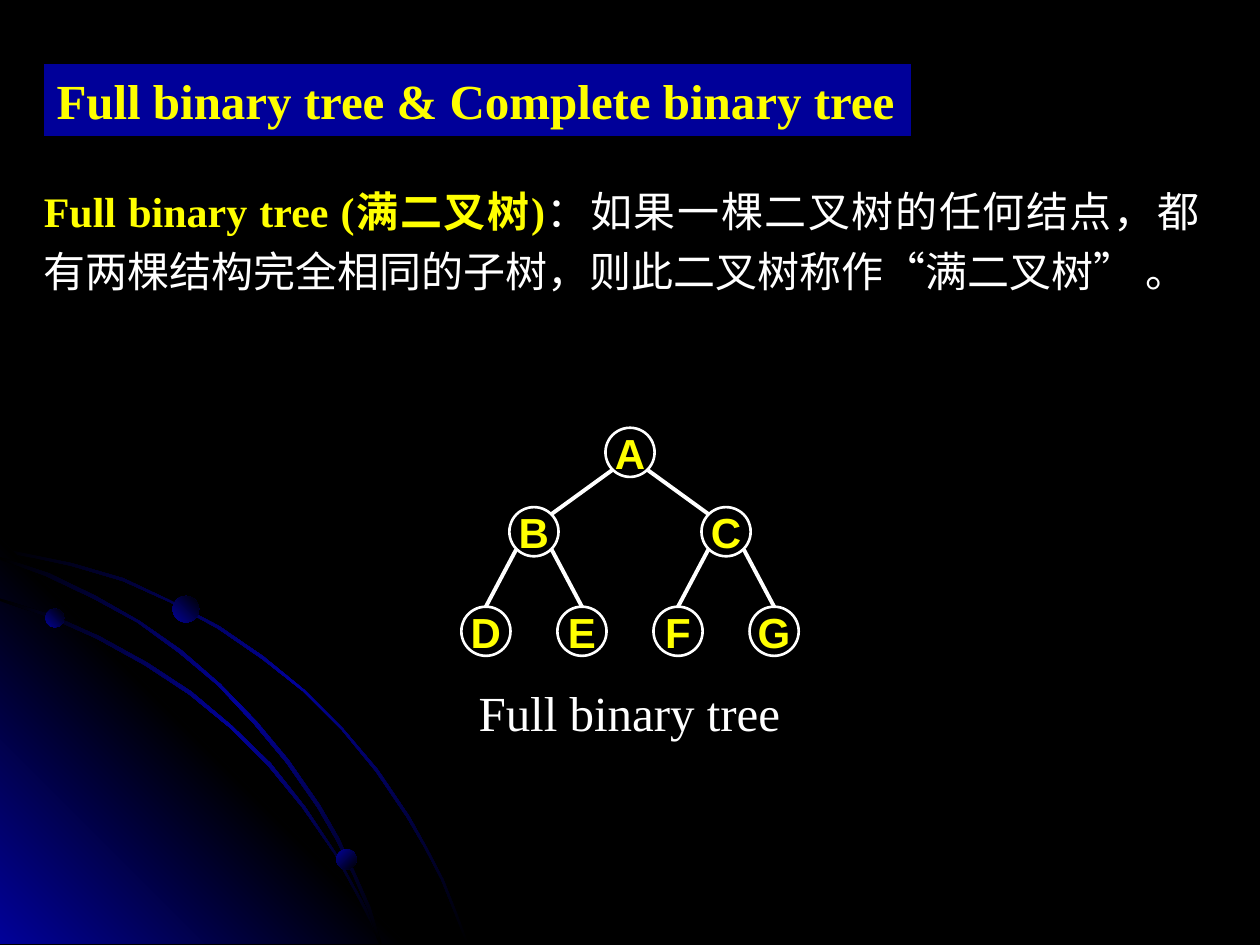
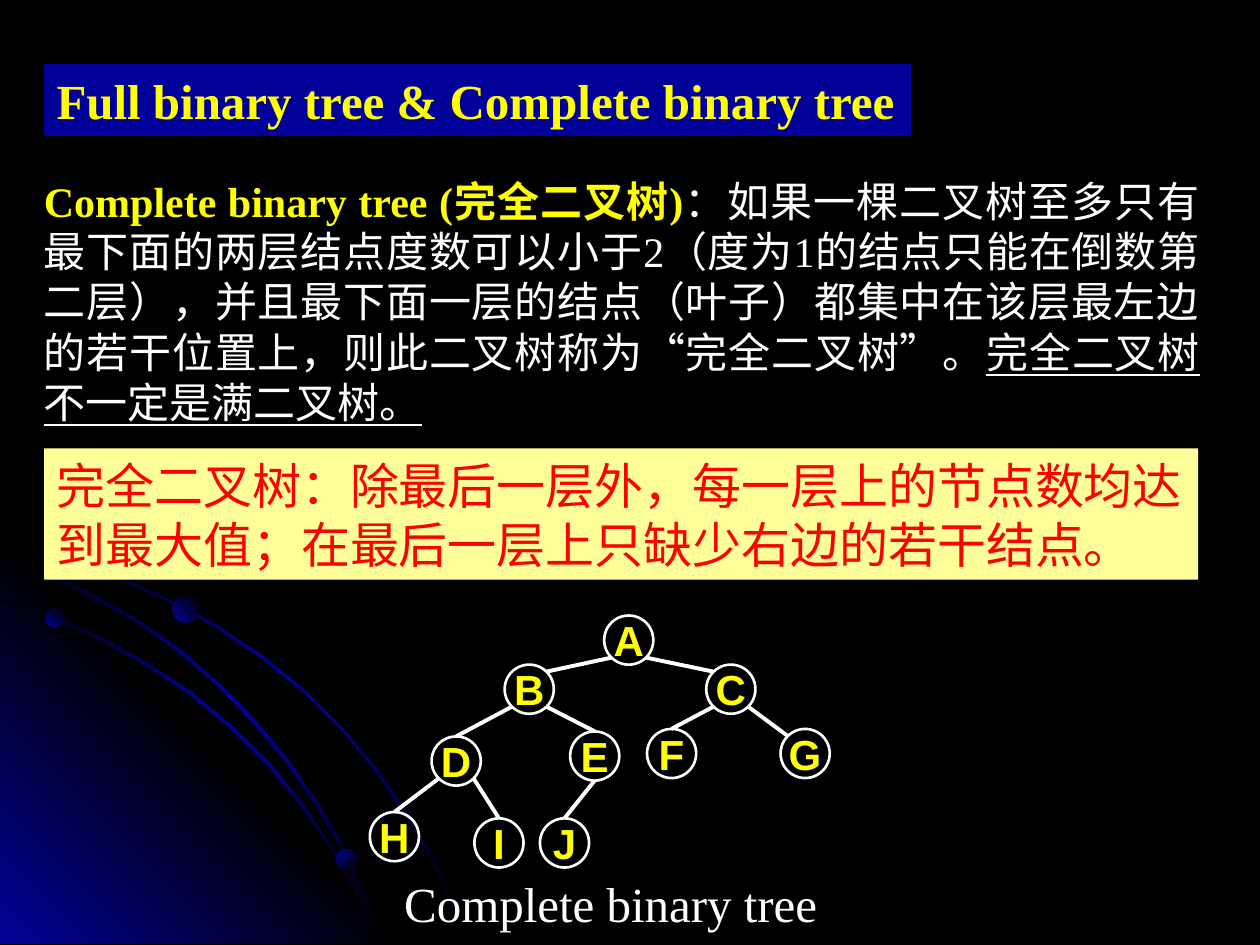
from dataclasses import dataclass

from pptx import Presentation
from pptx import util as u
from pptx.dml.color import RGBColor
from pptx.enum import shapes, text
from pptx.oxml import ns, parse_xml

Inches = u.Inches


@dataclass(frozen=True)
class Theme:
    black: str = "000000"
    glow: str = "010199"
    band: str = "000099"
    yellow: str = "FFFF00"
    white: str = "FFFFFF"
    cream: str = "FFFF99"
    red: str = "FF0000"
    serif: str = "Times New Roman"
    sans: str = "Arial"
    cjk: str = "Noto Sans CJK SC"
    large: int = 28
    body: int = 24
    ring: float = 1.5
    edge: float = 2.25


THEME = Theme()
NODE = 0.39   # diameter of a tree node
DIAG = 0.14   # offset of a node's diagonal joints
JOINTS = {"t": (0, -NODE / 2), "b": (0, NODE / 2),
          "tl": (-DIAG, -DIAG), "tr": (DIAG, -DIAG),
          "bl": (-DIAG, DIAG), "br": (DIAG, DIAG)}

# Background outlines, in inches
ARCS_BACK = [
    [(0.57, 4.47), (0.28, 4.41), (0, 4.35), (0, 4.38), (0.28, 4.43), (0.56, 4.49),
     (0.97, 4.61), (1.35, 4.78), (1.73, 4.99), (2.08, 5.23), (2.41, 5.49),
     (2.71, 5.79), (2.98, 6.12), (3.23, 6.49), (3.37, 6.73), (3.5, 6.98),
     (3.6, 7.23), (3.7, 7.49), (3.72, 7.49), (3.62, 7.23), (3.52, 6.98),
     (3.39, 6.73), (3.25, 6.48), (3, 6.11), (2.72, 5.78), (2.42, 5.48),
     (2.09, 5.21), (1.74, 4.97), (1.36, 4.77), (0.98, 4.59)],
]
CORNER = [(3.22, 7.49), (0, 7.49), (0, 4.27)]
ARCS_FRONT = [
    [(2.85, 7.14), (2.94, 7.32), (3.01, 7.49), (3.03, 7.49), (2.96, 7.3),
     (2.86, 7.12), (2.66, 6.76), (2.42, 6.4), (2.15, 6.06), (1.84, 5.76),
     (1.52, 5.49), (1.17, 5.26), (0.79, 5.05), (0.41, 4.88), (0, 4.75),
     (0, 4.77), (0.39, 4.9), (0.77, 5.07), (1.15, 5.28), (1.5, 5.51),
     (1.83, 5.78), (2.13, 6.08), (2.4, 6.41), (2.65, 6.77)],
    [(0, 4.42), (0, 4.44), (0.36, 4.57), (0.74, 4.75), (1.09, 4.94),
     (1.42, 5.18), (1.73, 5.44), (2.02, 5.75), (2.27, 6.05), (2.52, 6.41),
     (2.67, 6.67), (2.8, 6.94), (2.92, 7.22), (3.01, 7.49), (3.03, 7.49),
     (2.94, 7.2), (2.82, 6.93), (2.69, 6.65), (2.54, 6.39), (2.29, 6.03),
     (2.04, 5.73), (1.75, 5.43), (1.44, 5.16), (1.11, 4.93), (0.76, 4.73),
     (0.39, 4.55)],
]
BEADS = [(0.36, 4.83, 0.15, 315), (2.67, 6.74, 0.16, 45), (1.37, 4.73, 0.21, 315)]


def rgb(color):
    return RGBColor.from_string(color)


class Deck:
    """Holds the style and the current slide."""

    def __init__(self, theme):
        self.t = theme
        self.prs = Presentation()
        self.prs.slide_width, self.prs.slide_height = Inches(10), Inches(7.5)
        self.s = None

    def new_slide(self):
        self.s = self.prs.slides.add_slide(self.prs.slide_layouts[6])
        fill = self.s.background.fill
        fill.solid()
        fill.fore_color.rgb = rgb(self.t.black)
        self.backdrop()

    # Background
    def gradient(self, sp, colors, angle):
        sp.shadow.inherit = False
        sp.line.fill.background()
        sp.fill.solid()
        last = len(colors) - 1
        stops = "".join(f'<a:gs pos="{100000 * i // last}"><a:srgbClr val="{c}"/></a:gs>'
                        for i, c in enumerate(colors))
        grad = parse_xml(f'<a:gradFill {ns.nsdecls("a")} rotWithShape="1"><a:gsLst>{stops}'
                         f'</a:gsLst><a:lin ang="{angle * 60000}" scaled="1"/></a:gradFill>')
        spPr = sp._element.spPr
        spPr.replace(spPr.find(ns.qn("a:solidFill")), grad)

    def outline(self, points, colors, angle):
        start, *rest = [(Inches(x), Inches(y)) for x, y in points]
        builder = self.s.shapes.build_freeform(*start)
        builder.add_line_segments(rest, close=True)
        self.gradient(builder.convert_to_shape(), colors, angle)

    def backdrop(self):
        black, glow = self.t.black, self.t.glow
        arc = (black, glow, black), 45
        for points in ARCS_BACK:
            self.outline(points, *arc)
        self.outline(CORNER, (glow, black, glow), 315)
        for points in ARCS_FRONT:
            self.outline(points, *arc)
        for x, y, size, angle in BEADS:
            self.gradient(self.shape("OVAL", x, y, size, size), (glow, black), angle)

    # Basic elements
    def shape(self, kind, x, y, w, h, fill=None, line=None):
        sp = self.s.shapes.add_shape(getattr(shapes.MSO_SHAPE, kind),
                                     Inches(x), Inches(y), Inches(w), Inches(h))
        sp.shadow.inherit = False
        if fill:
            sp.fill.solid()
            sp.fill.fore_color.rgb = rgb(fill)
        else:
            sp.fill.background()
        if line:
            sp.line.color.rgb = rgb(line)
            sp.line.width = u.Pt(self.t.ring)
        else:
            sp.line.fill.background()
        return sp

    def box(self, x, y, w, h):
        return self.s.shapes.add_textbox(Inches(x), Inches(y), Inches(w), Inches(h))

    def put_text(self, sp, runs, align="LEFT", anchor="TOP", wrap=False, grow=True):
        """Fill a shape with one paragraph; runs are (words, color, font format)."""
        tf = sp.text_frame
        tf.word_wrap = wrap
        tf.vertical_anchor = getattr(text.MSO_ANCHOR, anchor)
        fit = text.MSO_AUTO_SIZE
        tf.auto_size = fit.SHAPE_TO_FIT_TEXT if grow else fit.NONE
        p = tf.paragraphs[0]
        p.alignment = getattr(text.PP_ALIGN, align)
        for words, color, fmt in runs:
            r = p.add_run()
            r.text = words
            r.font.color.rgb = rgb(color)
            for key, value in fmt.items():
                setattr(r.font, key, value)
            r._r.get_or_add_rPr().append(
                parse_xml(f'<a:ea {ns.nsdecls("a")} typeface="{self.t.cjk}"/>'))
        return p

    def font(self, name, size, **extra):
        return {"name": name, "size": u.Pt(size), **extra}

    # Slide parts
    def title(self, words):
        sp = self.shape("RECTANGLE", 0.35, 0.51, 6.88, 0.57, fill=self.t.band)
        self.put_text(sp, [(words, self.t.yellow,
                            self.font(self.t.serif, self.t.large, bold=True))])

    def definition(self, term, meaning, height, underlined="", spacing=None):
        t = self.t
        runs = [(term, t.yellow, self.font(t.serif, t.body, bold=True)),
                (meaning, t.white, self.font(t.serif, t.body))]
        if underlined:
            runs.append((underlined, t.white, self.font(t.serif, t.body, underline=True)))
        p = self.put_text(self.box(0.25, 1.34, 9.37, height), runs, "JUSTIFY", wrap=True)
        p._p.get_or_add_pPr().append(parse_xml(
            f'<a:spcBef {ns.nsdecls("a")}><a:spcPct val="50000"/></a:spcBef>'))
        if spacing:
            p.line_spacing = spacing

    def callout(self, words):
        sp = self.shape("RECTANGLE", 0.35, 3.56, 9.16, 1.04, fill=self.t.cream)
        self.put_text(sp, [(words, self.t.red, self.font(self.t.cjk, self.t.large))],
                      anchor="MIDDLE", wrap=True)

    def caption(self, words, x, y, w):
        self.put_text(self.box(x, y, w, 0.57),
                      [(words, self.t.white, self.font(self.t.serif, self.t.large))])

    def tree(self, centres, edges):
        """Draw nodes at their centres, then edges given as 'AB joint joint'."""
        nodes = {}
        for name, (x, y) in centres.items():
            sp = self.shape("OVAL", x - NODE / 2, y - NODE / 2, NODE, NODE,
                            line=self.t.white)
            self.put_text(sp, [(name, self.t.yellow,
                                self.font(self.t.sans, self.t.body, bold=True))],
                          "CENTER", "MIDDLE", grow=False)
            nodes[name] = sp
        for edge in edges:
            (parent, child), *joints = edge.split()
            ends = []
            for name, joint in zip((parent, child), joints):
                ends += [Inches(c + d) for c, d in zip(centres[name], JOINTS[joint])]
            line = self.s.shapes.add_connector(shapes.MSO_CONNECTOR.STRAIGHT, *ends)
            line.line.color.rgb = rgb(self.t.white)
            line.line.width = u.Pt(self.t.edge)
            line._element.spPr.append(parse_xml(f'<a:effectLst {ns.nsdecls("a")}/>'))
            if joints[1] == "t":
                line.end_connect(nodes[child], 0)


def full_centres():
    """Spread each level of the full tree evenly about the slide's middle."""
    centres = {}
    for names, y in (("A", 3.59), ("BC", 4.22), ("DEFG", 5.01)):
        n = len(names)
        for i, name in enumerate(names):
            centres[name] = (5 + (i - (n - 1) / 2) * 3.05 / n, y)
    return centres


def main():
    deck = Deck(THEME)
    heading = "Full binary tree & Complete binary tree"
    top_edges = ["AB bl tr", "AC br tl", "BD bl t", "BE br t", "CF bl t"]

    # Full binary tree
    deck.new_slide()
    deck.definition("Full binary tree (满二叉树)",
                    "：如果一棵二叉树的任何结点，都有两棵结构完全相同的子树，"
                    "则此二叉树称作“满二叉树” 。", 1.68, spacing=1.2)
    deck.title(heading)
    deck.caption("Full binary tree", 3.7, 5.37, 2.6)
    deck.tree(full_centres(), top_edges + ["CG br t"])

    # Complete binary tree
    deck.new_slide()
    deck.definition("Complete binary tree (完全二叉树)",
                    "：如果一棵二叉树至多只有最下面的两层结点度数可以小于2"
                    "（度为1的结点只能在倒数第二层），并且最下面一层的结点（叶子）"
                    "都集中在该层最左边的若干位置上，则此二叉树称为“完全二叉树”。",
                    2.12, underlined="完全二叉树不一定是满二叉树。")
    deck.callout("完全二叉树：除最后一层外，每一层上的节点数均达到最大值；"
                 "在最后一层上只缺少右边的若干结点。")
    deck.title(heading)
    deck.caption("Complete binary tree", 3.11, 6.88, 3.48)
    centres = {"A": (4.99, 5.08), "B": (4.2, 5.47), "C": (5.8, 5.47),
               "D": (3.62, 6.04), "E": (4.72, 6), "F": (5.33, 5.98),
               "G": (6.39, 5.98), "H": (3.13, 6.64), "I": (3.96, 6.69),
               "J": (4.48, 6.69)}
    deck.tree(centres, top_edges + ["CG br tl", "DH bl t", "DI br t", "EJ b t"])

    deck.prs.save("out.pptx")


if __name__ == "__main__":
    main()
